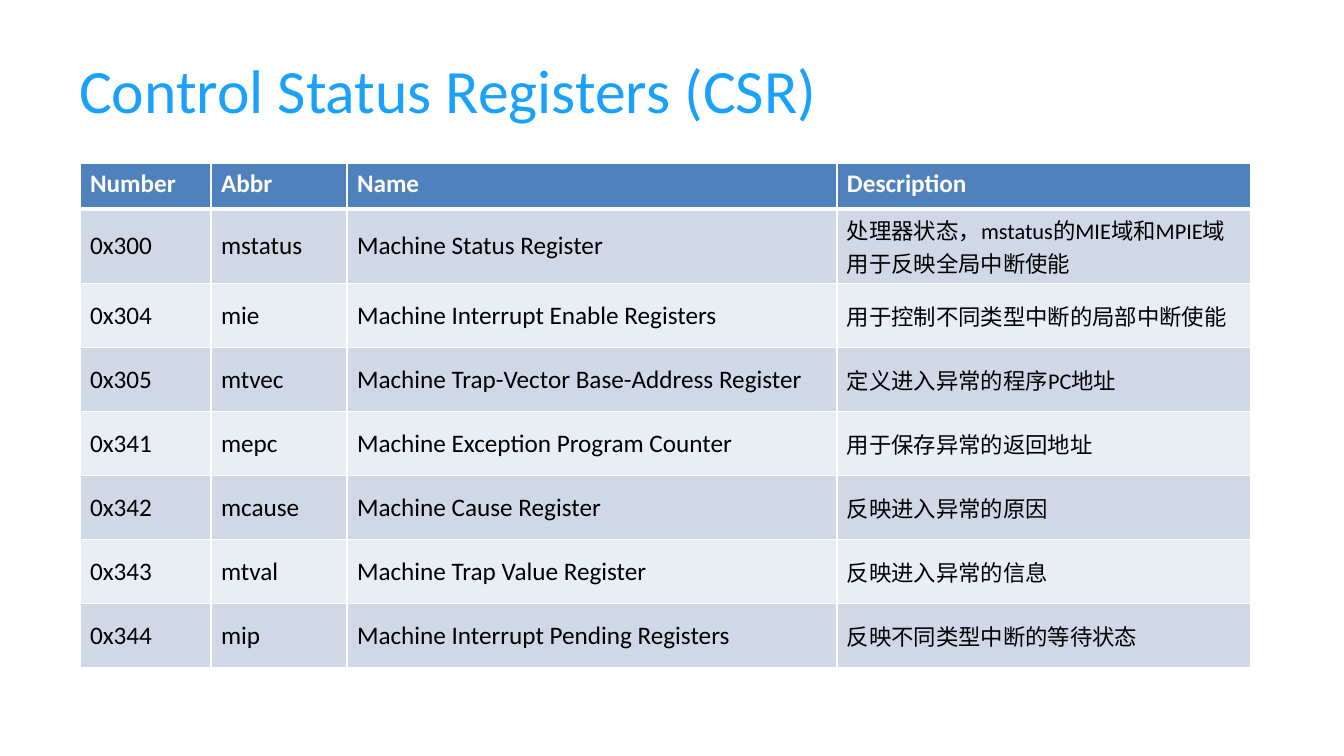
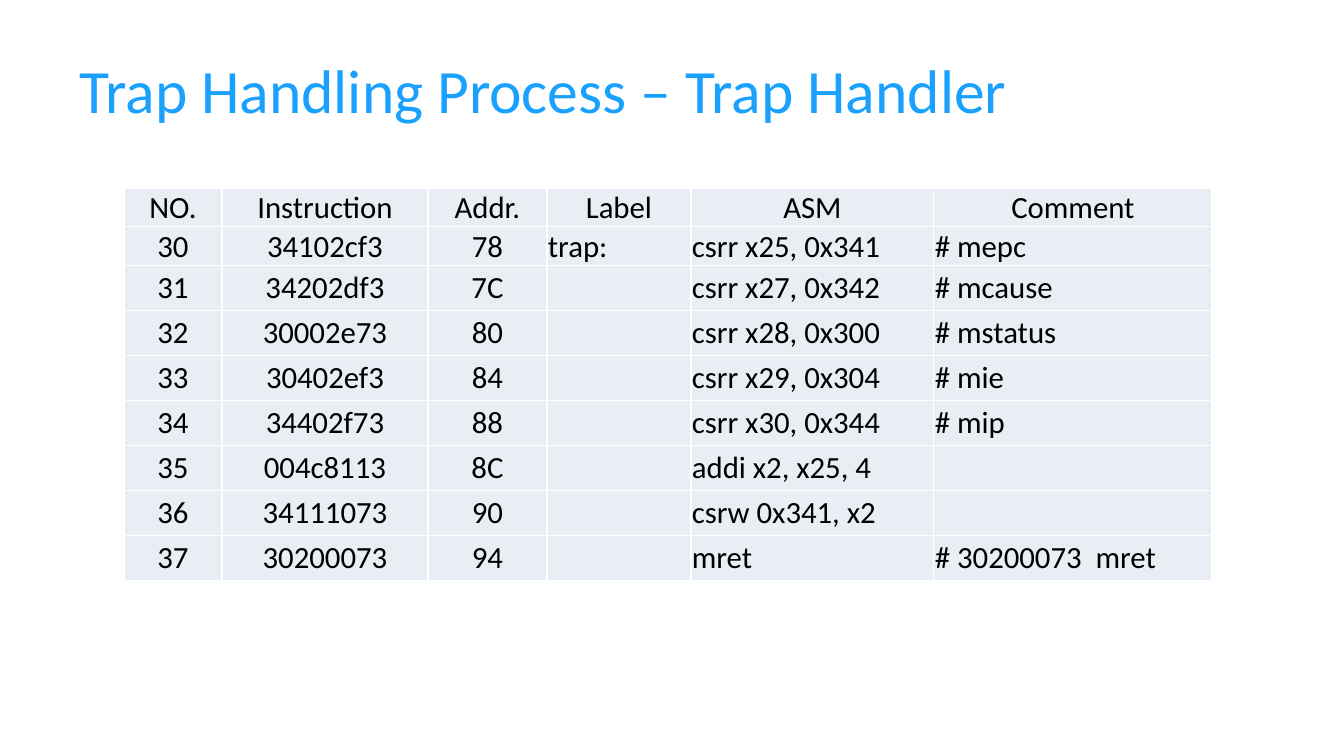
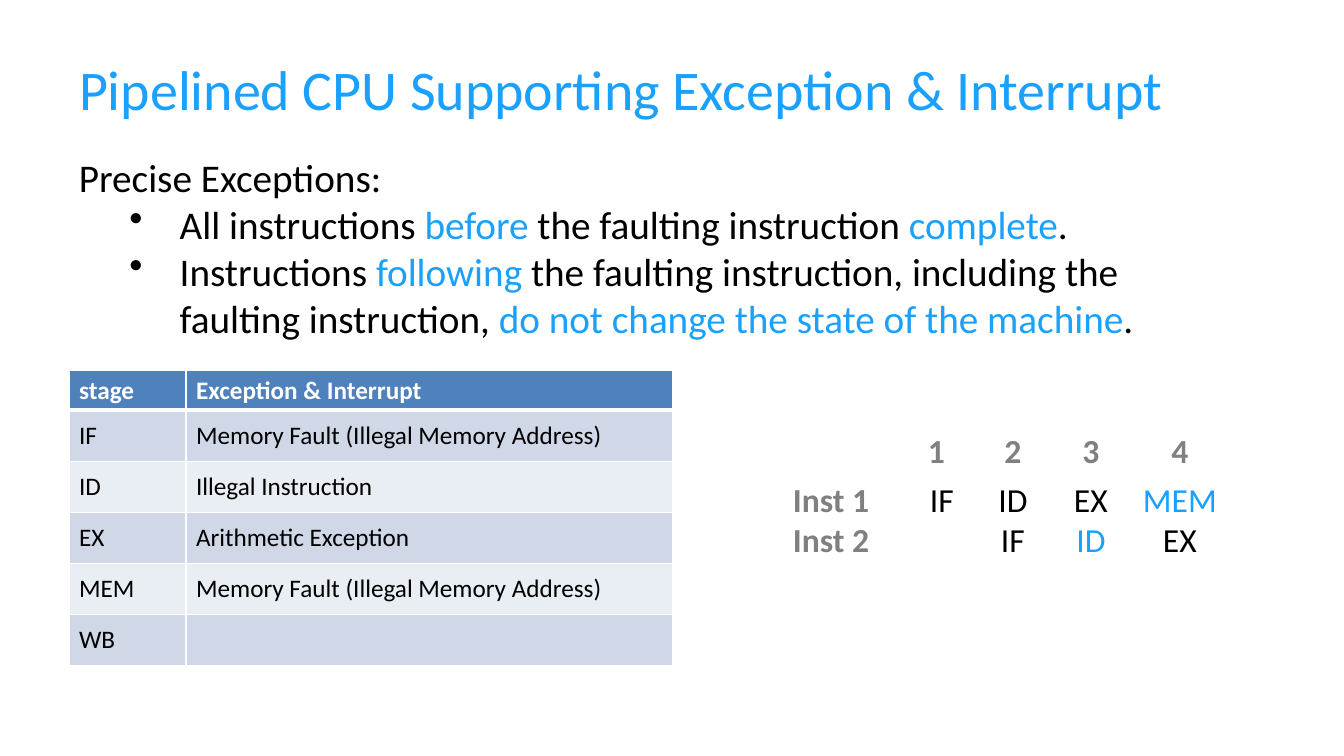
import pptx
import pptx.dml.color
import pptx.enum.text
import pptx.oxml
import pptx.oxml.ns
import pptx.util

EMU_PER_PX = 914400 / 100.8
FONT = "Calibri"
ACCENT = "19A1FD"
BLACK = "000000"
WHITE = "FFFFFF"
GRAY = "808080"
HEADER_FILL = "4F81BD"
BAND_FILLS = ("D0D8E8", "E9EDF4")
TITLE_ONLY = 5

ALIGN = pptx.enum.text.PP_ALIGN
ANCHOR = pptx.enum.text.MSO_ANCHOR

REGISTERS = [
    ("Number", "Abbr", "Name", "Description"),
    ("0x300", "mstatus", "Machine Status Register",
     "处理器状态，mstatus的MIE域和MPIE域用于反映全局中断使能"),
    ("0x304", "mie", "Machine Interrupt Enable Registers",
     "用于控制不同类型中断的局部中断使能"),
    ("0x305", "mtvec", "Machine Trap-Vector Base-Address Register",
     "定义进入异常的程序PC地址"),
    ("0x341", "mepc", "Machine Exception Program Counter", "用于保存异常的返回地址"),
    ("0x342", "mcause", "Machine Cause Register", "反映进入异常的原因"),
    ("0x343", "mtval", "Machine Trap Value Register", "反映进入异常的信息"),
    ("0x344", "mip", "Machine Interrupt Pending Registers", "反映不同类型中断的等待状态"),
]

TRAP_HANDLER = [
    ("NO.", "Instruction", "Addr.", "Label", "ASM", "Comment"),
    ("30", "34102cf3", "78", "trap:", "csrr x25, 0x341", "# mepc"),
    ("31", "34202df3", "7C", "", "csrr x27, 0x342", "# mcause"),
    ("32", "30002e73", "80", "", "csrr x28, 0x300", "# mstatus"),
    ("33", "30402ef3", "84", "", "csrr x29, 0x304", "# mie"),
    ("34", "34402f73", "88", "", "csrr x30, 0x344", "# mip"),
    ("35", "004c8113", "8C", "", "addi x2, x25, 4", ""),
    ("36", "34111073", "90", "", "csrw 0x341, x2", ""),
    ("37", "30200073", "94", "", "mret", "# 30200073  mret"),
]

STAGE_FAULTS = [
    ("stage", "Exception & Interrupt"),
    ("IF", "Memory Fault (Illegal Memory Address)"),
    ("ID", "Illegal Instruction"),
    ("EX", "Arithmetic Exception"),
    ("MEM", "Memory Fault (Illegal Memory Address)"),
    ("WB", ""),
]

PRECISE_RULES = [
    [("All instructions ", BLACK), ("before", ACCENT),
     (" the faulting instruction ", BLACK), ("complete", ACCENT), (".", BLACK)],
    [("Instructions ", BLACK), ("following", ACCENT),
     (" the faulting instruction, including the faulting instruction, ", BLACK),
     ("do not change the state of the machine", ACCENT), (".", BLACK)],
]

CYCLE_CENTERS = (942, 1013, 1091, 1180)
CYCLE_NUMBERS = [[("1\t2\t3\t4", GRAY, True)]]
PIPELINE = [
    [("Inst 1", GRAY, True), ("\tIF\tID\tEX\t", BLACK), ("MEM", ACCENT)],
    [("Inst 2", GRAY, True), ("\t\tIF\t", BLACK), ("ID", ACCENT), ("\tEX", BLACK)],
]


def px(length):
    return pptx.util.Emu(round(length * EMU_PER_PX))


def rgb(color):
    return pptx.dml.color.RGBColor.from_string(color)


def add_run(paragraph, text, size, color, bold=False):
    run = paragraph.add_run()
    run.text = text
    run.font.name = FONT
    run.font.size = pptx.util.Pt(size)
    run.font.bold = bold
    run.font.color.rgb = rgb(color)


def add_titled_slide(deck, text, size=44, width=1190):
    slide = deck.slides.add_slide(deck.slide_layouts[TITLE_ONLY])
    title = slide.shapes.title
    title.left, title.top, title.width, title.height = map(px, (69, 36, width, 105))
    frame = title.text_frame
    frame.auto_size = pptx.enum.text.MSO_AUTO_SIZE.NONE
    frame.vertical_anchor = ANCHOR.MIDDLE
    frame.paragraphs[0].alignment = ALIGN.LEFT
    add_run(frame.paragraphs[0], text, size, ACCENT)
    return slide


def add_paragraphs(shapes, box, lines, size):
    """Add a text box with one paragraph per list of runs; return its paragraphs."""
    frame = shapes.add_textbox(*map(px, box)).text_frame
    frame.word_wrap = True
    for index, runs in enumerate(lines):
        paragraph = frame.add_paragraph() if index else frame.paragraphs[0]
        for text, *style in runs:
            add_run(paragraph, text, size, *style)
    return frame.paragraphs


def add_bullet(paragraph):
    paragraph.level = 1
    properties = paragraph._p.get_or_add_pPr()
    properties.set("marL", str(pptx.util.Inches(1)))
    properties.set("indent", str(-pptx.util.Inches(0.5)))
    bullet = pptx.oxml.parse_xml(
        f'<a:buChar {pptx.oxml.ns.nsdecls("a")} char="•"/>')
    properties.append(bullet)


def add_center_tabs(paragraph, stops):
    tabs = "".join(f'<a:tab pos="{px(stop)}" algn="ctr"/>' for stop in stops)
    paragraph._p.get_or_add_pPr().append(pptx.oxml.parse_xml(
        f'<a:tabLst {pptx.oxml.ns.nsdecls("a")}>{tabs}</a:tabLst>'))


def set_borders(cell, top=1, bottom=1):
    """Give a cell white borders, with widths in points."""
    widths = {"lnL": 1, "lnR": 1, "lnT": top, "lnB": bottom}
    properties = cell._tc.get_or_add_tcPr()
    for index, (edge, width) in enumerate(widths.items()):
        properties.insert(index, pptx.oxml.parse_xml(
            f'<a:{edge} {pptx.oxml.ns.nsdecls("a")} w="{pptx.util.Pt(width)}">'
            f'<a:solidFill><a:srgbClr val="{WHITE}"/></a:solidFill></a:{edge}>'))


def add_grid(slide, corner, columns, heights, rows):
    """Add a table with set column widths and row heights; return it unfilled."""
    size = (sum(columns), sum(heights))
    table = slide.shapes.add_table(
        len(rows), len(columns), *map(px, corner + size)).table
    for column, width in zip(table.columns, columns):
        column.width = px(width)
    for row, height in zip(table.rows, heights):
        row.height = px(height)
    return table


def fill_cell(cell, text, fill, size, color=BLACK, bold=False):
    cell.fill.solid()
    cell.fill.fore_color.rgb = rgb(fill)
    cell.vertical_anchor = ANCHOR.MIDDLE
    if text:
        add_run(cell.text_frame.paragraphs[0], text, size, color, bold)


def add_banded_table(slide, corner, columns, heights, rows, column_sizes):
    table = add_grid(slide, corner, columns, heights, rows)
    for r, row in enumerate(rows):
        for c, text in enumerate(row):
            cell = table.cell(r, c)
            if r == 0:
                fill_cell(cell, text, HEADER_FILL, 18, WHITE, True)
                cell.vertical_anchor = ANCHOR.TOP
            else:
                fill_cell(cell, text, BAND_FILLS[(r - 1) % 2], column_sizes[c])
            set_borders(cell, top=3 if r == 1 else 1, bottom=3 if r == 0 else 1)


def add_listing_table(slide, corner, columns, heights, rows, centered_columns):
    """Add a plain table with tight cells for an assembly listing."""
    table = add_grid(slide, corner, columns, heights, rows)
    table.first_row = table.horz_banding = False
    for r, row in enumerate(rows):
        for c, text in enumerate(row):
            cell = table.cell(r, c)
            cell.margin_left = cell.margin_top = cell.margin_right = px(1)
            cell.margin_bottom = 0
            fill_cell(cell, text, BAND_FILLS[1], 22)
            set_borders(cell)
            if r == 0 or c < centered_columns:
                cell.text_frame.paragraphs[0].alignment = ALIGN.CENTER


def add_pipeline_diagram(slide):
    group = slide.shapes.add_group_shape()
    inset = 10
    for box, lines, centers in (
        ((918, 425, 309, 50), CYCLE_NUMBERS, CYCLE_CENTERS[1:]),
        ((783, 474, 468, 92), PIPELINE, CYCLE_CENTERS),
    ):
        for paragraph in add_paragraphs(group.shapes, box, lines, 24):
            add_center_tabs(paragraph, [center - box[0] - inset for center in centers])


def main():
    deck = pptx.Presentation()
    deck.slide_width, deck.slide_height = px(1344), px(756)

    registers = add_titled_slide(deck, "Control Status Registers (CSR)")
    add_banded_table(registers, (80, 163), (131, 136, 490, 414),
                     [46] + [64] * 7, REGISTERS, (18, 18, 18, 16))

    handler = add_titled_slide(deck, "Trap Handling Process – Trap Handler")
    add_listing_table(handler, (124, 188), (98, 206, 119, 144, 243, 278),
                      [38, 39] + [45] * 7, TRAP_HANDLER, centered_columns=3)

    pipeline = add_titled_slide(
        deck, "Pipelined CPU Supporting Exception & Interrupt", 40, 1250)
    heading = [("Precise Exceptions:", BLACK)]
    paragraphs = add_paragraphs(
        pipeline.shapes, (69, 148, 1093, 200), [heading] + PRECISE_RULES, 28)
    for rule in paragraphs[1:]:
        add_bullet(rule)
    add_banded_table(pipeline, (69, 370), (117, 487), [40] + [51] * 5,
                     STAGE_FAULTS, (18, 18))
    add_pipeline_diagram(pipeline)

    deck.save("out.pptx")


if __name__ == "__main__":
    main()
